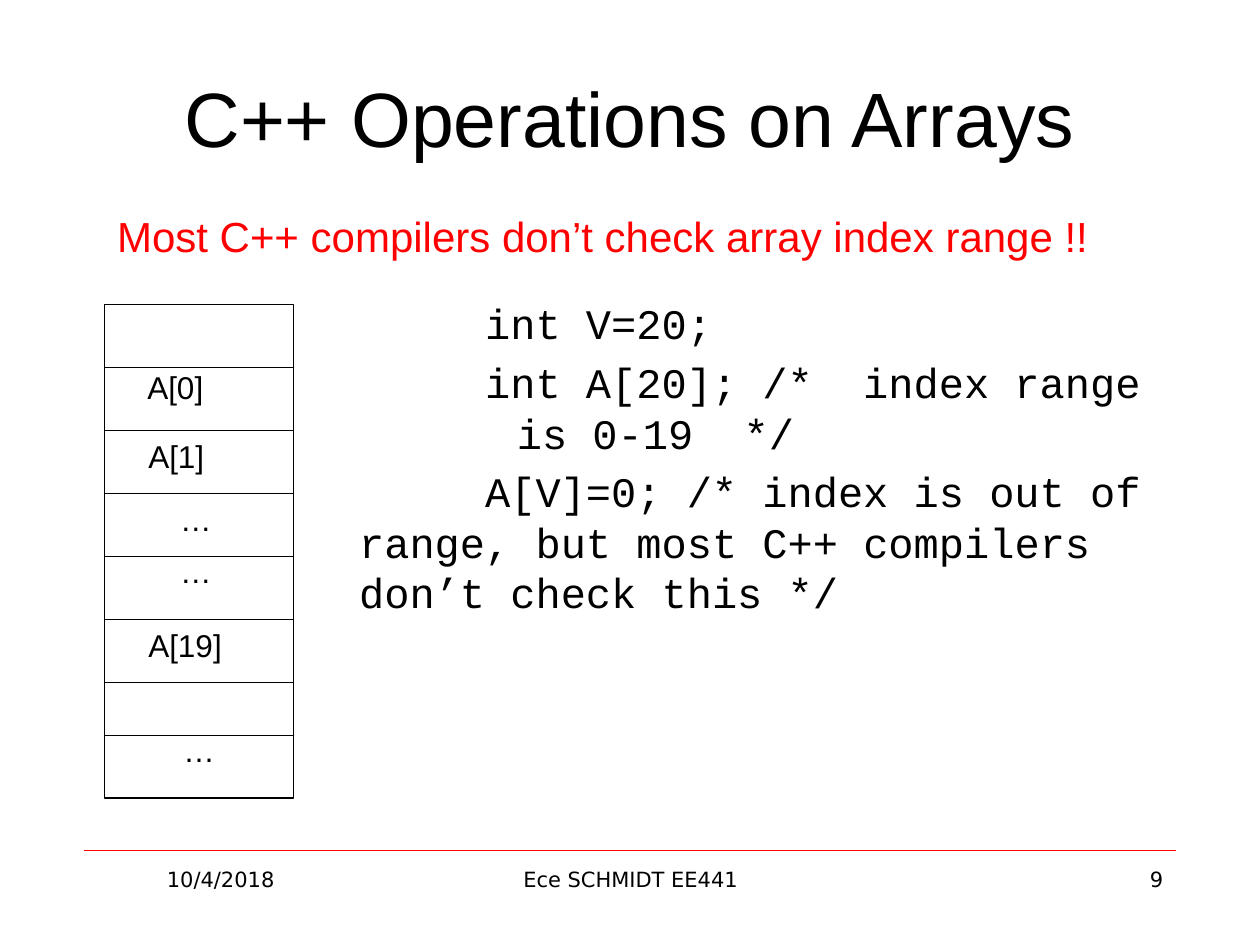
from lxml import etree
from pptx import Presentation
from pptx.dml.color import RGBColor
from pptx.enum.shapes import MSO_CONNECTOR, MSO_SHAPE
from pptx.enum.text import MSO_ANCHOR, PP_ALIGN
from pptx.oxml.ns import qn
from pptx.util import Cm, Pt

BLACK, RED = "000000", "FF0000"


def add_text(box, texts, size, font="Arial", color=BLACK,
             align=PP_ALIGN.LEFT, wrap=True):
    text_box = slide.shapes.add_textbox(*[Cm(length) for length in box])
    frame = text_box.text_frame
    frame.word_wrap = wrap
    for index, text in enumerate(texts):
        paragraph = frame.paragraphs[0] if index == 0 else frame.add_paragraph()
        paragraph.alignment = align
        run = paragraph.add_run()
        run.text = text
        run.font.size = Pt(size)
        run.font.name = font
        run.font.color.rgb = RGBColor.from_string(color)
    return frame


def add_rule(left, right, y, color, width):
    line = slide.shapes.add_connector(
        MSO_CONNECTOR.STRAIGHT, Cm(left), Cm(y), Cm(right), Cm(y))
    line.line.color.rgb = RGBColor.from_string(color)
    line.line.width = Pt(width)
    etree.SubElement(line._element.spPr, qn("a:effectLst"))


presentation = Presentation()
presentation.slide_width = Cm(25.4)
presentation.slide_height = Cm(19.05)
slide = presentation.slides.add_slide(presentation.slide_layouts[6])

# Title and warning
title = add_text((1.27, 0.76, 22.86, 3.18), ["C++ Operations on Arrays"], 44,
                 align=PP_ALIGN.CENTER)
title.vertical_anchor = MSO_ANCHOR.MIDDLE
add_text((2.11, 4.11, 22.02, 1.27),
         ["Most C++ compilers don’t check array index range !!"], 24, color=RED)

# Code: hanging indent for declarations, first-line indent for the assignment
code = add_text((6.99, 5.88, 17.58, 10.6), [
    "int V=20;",
    "int A[20]; /*  index range is 0-19  */",
    "A[V]=0; /* index is out of range, but most C++ compilers don’t check this */",
], 24, font="Courier New")
indents = [(3.18, -0.64), (3.18, -0.64), (0, 2.54)]
for index, (margin, indent) in enumerate(indents):
    paragraph = code.paragraphs[index]
    properties = paragraph._p.get_or_add_pPr()
    properties.set("marL", str(Cm(margin)))
    properties.set("indent", str(Cm(indent)))
    if index:
        paragraph.space_before = Pt(4.8)

# Memory column
left, top, width, height, row = 2.11, 6.14, 3.81, 9.95, 1.27
memory = slide.shapes.add_shape(
    MSO_SHAPE.RECTANGLE, Cm(left), Cm(top), Cm(width), Cm(height))
memory.shadow.inherit = False
memory.fill.background()
memory.line.color.rgb = RGBColor.from_string(BLACK)
memory.line.width = Pt(0.75)
dividers = [top + row * number for number in range(1, 7)] + [14.82]
for y in dividers:
    add_rule(left, left + width, y, BLACK, 0.75)

# Cell labels
labels = [
    ("A[0]", 2.72, 7.29), ("A[1]", 2.74, 8.69), ("…", 3.38, 9.96),
    ("…", 3.38, 11.0), ("A[19]", 2.74, 12.5), ("…", 3.45, 14.61),
]
for label, x, y in labels:
    add_text((x, y, 2.13, row), [label], 18, wrap=False)

# Footer
add_rule(1.7, 23.7, 17.15, RED, 0.25)
footers = [
    ("10/4/2018", 1.7, 5.5, PP_ALIGN.CENTER),
    ("Ece SCHMIDT EE441", 8.69, 8.05, PP_ALIGN.CENTER),
    ("9", 18.2, 5.5, PP_ALIGN.RIGHT),
]
for text, x, footer_width, align in footers:
    add_text((x, 17.35, footer_width, 1.32), [text], 12,
             font="DejaVu Sans", align=align)

presentation.save("out.pptx")
